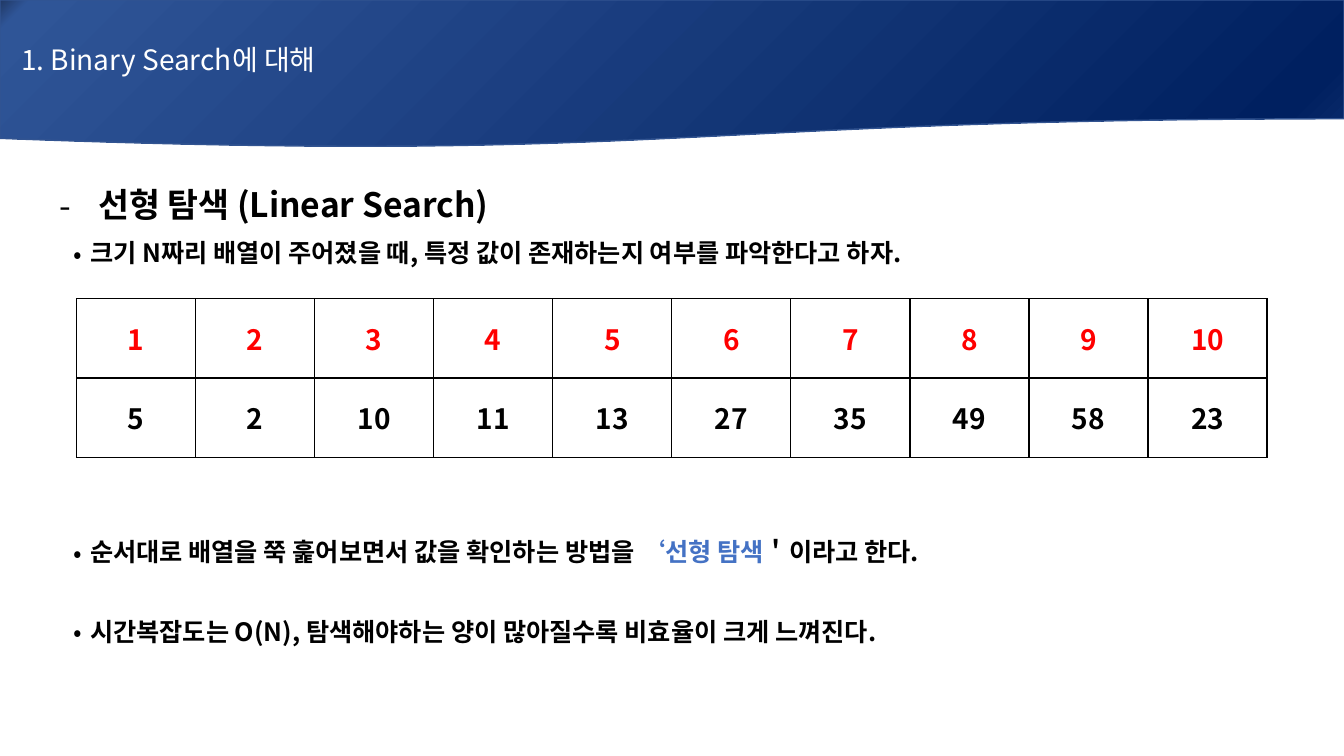
from lxml.etree import SubElement
from pptx import Presentation
from pptx.dml.color import RGBColor
from pptx.enum.shapes import MSO_SHAPE
from pptx.enum.text import MSO_ANCHOR, MSO_AUTO_SIZE, PP_ALIGN
from pptx.oxml import parse_xml
from pptx.oxml.ns import nsdecls, qn
from pptx.util import Inches, Pt

COLORS = {
    "white": "FFFFFF", "black": "000000", "index": "FF0000",
    "accent": "4472C4", "band line": "325491",
}
BAND_STOPS = [(0, "203864"), (2, "2F5597"), (94, "002060"), (100, "0D2E6F")]
INDEXES = range(1, 11)
VALUES = [5, 2, 10, 11, 13, 27, 35, 49, 58, 23]


class SlideBuilder:
    """Holds the style and the slide; places are shares of the slide's size."""

    font_name = "Noto Sans CJK KR"

    def __init__(self, presentation):
        self.width = presentation.slide_width
        self.height = presentation.slide_height
        self.slide = presentation.slides.add_slide(presentation.slide_layouts[1])

    def box(self, left, top, width, height):
        return (round(left * self.width), round(top * self.height),
                round(width * self.width), round(height * self.height))

    def place(self, shape, box):
        shape.left, shape.top, shape.width, shape.height = self.box(*box)

    def run(self, paragraph, text, size, color="black", bold=True):
        run = paragraph.add_run()
        run.text = text
        run.font.size = Pt(size)
        run.font.bold = bold
        run.font.color.rgb = RGBColor.from_string(COLORS[color])
        run.font.name = self.font_name
        SubElement(run.font._element, qn("a:ea"), typeface=self.font_name)

    def band(self, box, stops, angle):
        band = self.slide.shapes.add_shape(
            MSO_SHAPE.FLOWCHART_DOCUMENT, *self.box(*box))
        band.shadow.inherit = False
        band.line.color.rgb = RGBColor.from_string(COLORS["band line"])
        band.line.width = Pt(1)
        # Four-stop gradient
        stop_xml = "".join(
            f'<a:gs pos="{share * 1000}"><a:srgbClr val="{color}"/></a:gs>'
            for share, color in stops)
        gradient = parse_xml(
            f'<a:gradFill {nsdecls("a")} rotWithShape="1"><a:gsLst>{stop_xml}'
            f'</a:gsLst><a:lin ang="{angle * 60000}" scaled="1"/></a:gradFill>')
        band._element.spPr.find(qn("a:prstGeom")).addnext(gradient)
        # Behind the title
        self.slide.shapes._spTree.insert(2, band._element)

    def title(self, text, box):
        title = self.slide.shapes.title
        self.place(title, box)
        frame = title.text_frame
        frame.auto_size = MSO_AUTO_SIZE.NONE
        frame.vertical_anchor = MSO_ANCHOR.MIDDLE
        frame.margin_left = Inches(0.21)
        paragraph = frame.paragraphs[0]
        paragraph.alignment = PP_ALIGN.LEFT
        self.run(paragraph, text, 20, "white", bold=False)

    def body(self, items, box):
        body = self.slide.placeholders[1]
        self.place(body, box)
        frame = body.text_frame
        frame.auto_size = MSO_AUTO_SIZE.NONE
        frame.vertical_anchor = MSO_ANCHOR.TOP
        for number, (bullet, margin, hanging, size, before, runs) in enumerate(items):
            paragraph = frame.add_paragraph() if number else frame.paragraphs[0]
            paragraph.alignment = PP_ALIGN.JUSTIFY
            paragraph.line_spacing = 1.07
            paragraph.space_before = Pt(before)
            paragraph.space_after = Pt(0)
            properties = paragraph._p.get_or_add_pPr()
            properties.set("marL", str(Inches(margin)))
            properties.set("indent", str(-Inches(hanging)))
            SubElement(properties, qn("a:buFont"), typeface=self.font_name)
            SubElement(properties, qn("a:buChar"), char=bullet)
            for text, color in runs:
                self.run(paragraph, text, size, color)

    def table(self, rows, box):
        table = self.slide.shapes.add_table(
            len(rows), len(rows[0][1]), *self.box(*box)).table
        table.first_row = table.horz_banding = False
        for row, (color, numbers) in enumerate(rows):
            for column, number in enumerate(numbers):
                cell = table.cell(row, column)
                self.borders(cell)
                cell.fill.solid()
                cell.fill.fore_color.rgb = RGBColor.from_string(COLORS["white"])
                cell.vertical_anchor = MSO_ANCHOR.MIDDLE
                paragraph = cell.text_frame.paragraphs[0]
                paragraph.alignment = PP_ALIGN.CENTER
                self.run(paragraph, str(number), 20, color)

    def borders(self, cell):
        properties = cell._tc.get_or_add_tcPr()
        for side in ("lnL", "lnR", "lnT", "lnB"):
            line = SubElement(properties, qn(f"a:{side}"), w=str(Pt(1)))
            fill = SubElement(line, qn("a:solidFill"))
            SubElement(fill, qn("a:srgbClr"), val=COLORS["black"])


def main():
    presentation = Presentation()
    presentation.slide_width = Inches(13.33)
    presentation.slide_height = Inches(7.5)
    builder = SlideBuilder(presentation)

    # Header
    builder.band((0, 0, 1, 0.196), BAND_STOPS, 45)
    builder.title("1. Binary Search에 대해", (0, 0, 1, 0.157))

    # Explanation: bullet, margin, hanging, size, space before, runs
    point = ("•", 0.3, 0.16, 18)
    builder.body([
        ("-", 0.38, 0.38, 24, 0, [("선형 탐색 (Linear Search)", "black")]),
        (*point, 8, [("크기 N짜리 배열이 주어졌을 때, 특정 값이 존재하는지 "
                      "여부를 파악한다고 하자.", "black")]),
        (*point, 190, [("순서대로 배열을 쭉 훑어보면서 값을 확인하는 방법을 ", "black"),
                       ("‘선형 탐색", "accent"), ("＇이라고 한다.", "black")]),
        (*point, 34, [("시간복잡도는 O(N), 탐색해야하는 양이 많아질수록 "
                       "비효율이 크게 느껴진다.", "black")]),
    ], (0.037, 0.233, 0.963, 0.65))

    # Array: positions above values
    builder.table([("index", INDEXES), ("black", VALUES)],
                  (0.057, 0.395, 0.886, 0.21))

    presentation.save("out.pptx")


if __name__ == "__main__":
    main()
